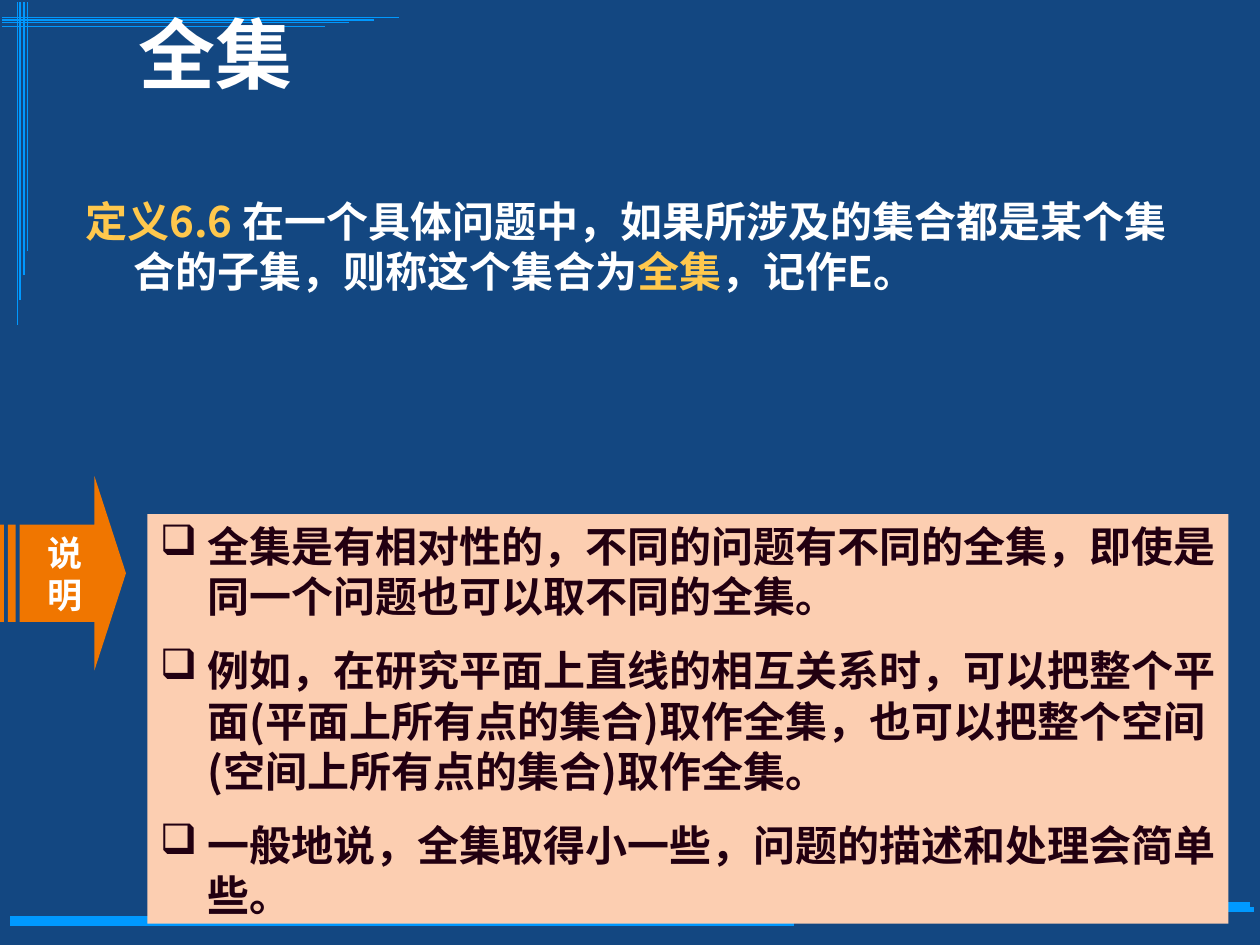
from lxml import etree
from pptx import Presentation
from pptx.dml.color import RGBColor
from pptx.enum import shapes, text
from pptx.oxml import ns
from pptx.util import Inches, Pt

NAVY, BLUE, WHITE = "134781", "0099FF", "FFFFFF"
GOLD, ORANGE, PEACH, DARK = "FFC84D", "F07600", "FCCEB1", "220011"
CJK = "Noto Sans CJK SC"

TITLE = [[("全集", WHITE)]]
DEFINITION = [[
    ("定义6.6 ", GOLD),
    ("在一个具体问题中，如果所涉及的集合都是某个集合的子集，则称这个集合为", WHITE),
    ("全集", GOLD),
    ("，记作E。", WHITE),
]]
LABEL = [[("说明", WHITE)]]
NOTES = [[(t, DARK)] for t in (
    "全集是有相对性的，不同的问题有不同的全集，即使是同一个问题也可以取不同的全集。",
    "例如，在研究平面上直线的相互关系时，可以把整个平面(平面上所有点的集合)取作全集，"
    "也可以把整个空间(空间上所有点的集合)取作全集。",
    "一般地说，全集取得小一些，问题的描述和处理会简单些。",
)]

BOTTOM_LINES = [
    (0.08, 7.29, 6.3, 7.29), (0.08, 7.33, 6.3, 7.33), (6.27, 7.32, 6.38, 7.21),
    (6.37, 7.18, 9.92, 7.18), (6.37, 7.22, 9.95, 7.22),
]
TOP_ENDS = [(0.14, 3.17), (0.16, 2.97), (0.18, 2.77), (0.21, 2.58)]
LEFT_ENDS = [(0.14, 2.58), (0.16, 2.38), (0.19, 2.18), (0.22, 1.99)]
CORNER_LINES = [(0.02, y, x, y) for y, x in TOP_ENDS]
CORNER_LINES += [(x, 0.02, x, y) for x, y in LEFT_ENDS]


def rgb(value):
    return RGBColor.from_string(value)


def add_line(s, ends, width):
    line = s.shapes.add_connector(
        shapes.MSO_CONNECTOR.STRAIGHT, *[Inches(v) for v in ends])
    line.line.color.rgb = rgb(BLUE)
    line.line.width = Pt(width)
    etree.SubElement(line._element.spPr, ns.qn("a:effectLst"))


def add_block(s, kind, box, fill):
    sp = s.shapes.add_shape(kind, *[Inches(v) for v in box])
    sp.shadow.inherit = False
    sp.fill.solid()
    sp.fill.fore_color.rgb = rgb(fill)
    sp.line.fill.background()
    return sp


def add_box(s, box):
    return s.shapes.add_textbox(*[Inches(v) for v in box])


def write(sp, paragraphs, size, font=CJK, align=text.PP_ALIGN.LEFT,
          anchor=text.MSO_ANCHOR.TOP, before=0, hang=0, bullet=None):
    tf = sp.text_frame
    tf.word_wrap = True
    tf.vertical_anchor = anchor
    for i, runs in enumerate(paragraphs):
        p = tf.add_paragraph() if i else tf.paragraphs[0]
        p.alignment = align
        p.space_before = Pt(before)
        pPr = p._p.get_or_add_pPr()
        if hang:
            pPr.set("marL", str(Inches(hang)))
            pPr.set("indent", str(-Inches(hang)))
        if bullet:
            color = etree.SubElement(pPr, ns.qn("a:buClr"))
            etree.SubElement(color, ns.qn("a:srgbClr"), val=DARK)
            etree.SubElement(pPr, ns.qn("a:buChar"), char=bullet)
        for words, color in runs:
            r = p.add_run()
            r.text = words
            r.font.size = Pt(size)
            r.font.bold = True
            r.font.name = font
            r.font.color.rgb = rgb(color)
            etree.SubElement(r._r.get_or_add_rPr(), ns.qn("a:ea"), typeface=CJK)


def main():
    prs = Presentation()
    prs.slide_width, prs.slide_height = Inches(10), Inches(7.5)
    s = prs.slides.add_slide(prs.slide_layouts[6])
    s.background.fill.solid()
    s.background.fill.fore_color.rgb = rgb(NAVY)

    for ends in BOTTOM_LINES:
        add_line(s, ends, 3)
    for ends in CORNER_LINES:
        add_line(s, ends, 0.75)

    middle = text.MSO_ANCHOR.MIDDLE
    write(add_box(s, (1, 0, 9, 0.83)), TITLE, 44, anchor=middle)
    write(add_box(s, (0.58, 1.5, 8.92, 1.25)), DEFINITION, 24, before=13.5, hang=0.38)

    arrow = add_block(s, shapes.MSO_SHAPE.STRIPED_RIGHT_ARROW, (0, 3.78, 1, 1.54), ORANGE)
    arrow.adjustments[0], arrow.adjustments[1] = 0.5, 0.25
    write(arrow, LABEL, 20, font="Arial", align=text.PP_ALIGN.CENTER,
          anchor=middle, before=11.2)

    panel = add_block(s, shapes.MSO_SHAPE.RECTANGLE, (1.17, 4.08, 8.58, 3.25), PEACH)
    write(panel, NOTES, 24, before=13.5, hang=0.38, bullet="❑")

    prs.save("out.pptx")


if __name__ == "__main__":
    main()
